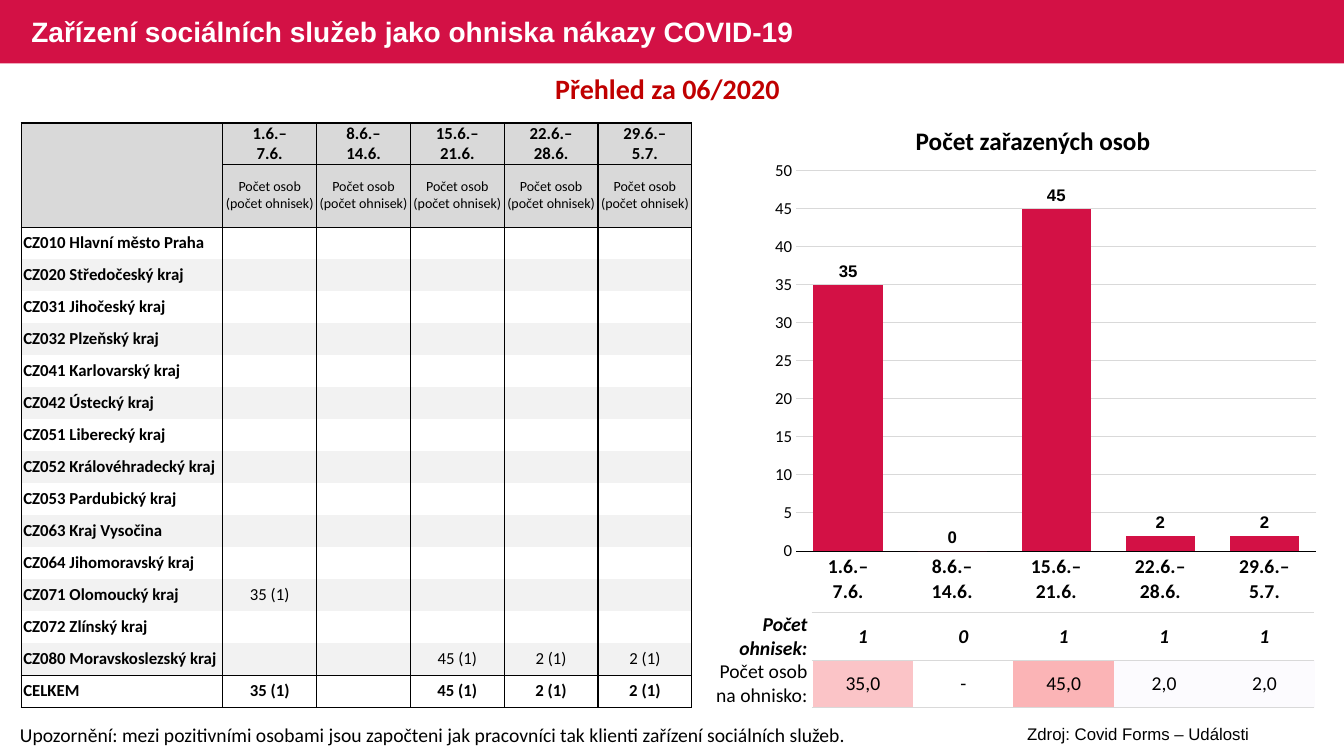
from copy import deepcopy

from lxml import etree
from pptx import Presentation
from pptx import util as u
from pptx.chart import data as chart_data
from pptx.dml.color import RGBColor
from pptx.enum import chart as charts, shapes, text
from pptx.oxml import ns

CRIMSON = RGBColor(0xD3, 0x11, 0x45)
DARK_RED = RGBColor(0xC0, 0x00, 0x00)
BLACK = RGBColor(0x00, 0x00, 0x00)
WHITE = RGBColor(0xFF, 0xFF, 0xFF)
HEADER_GREY = RGBColor(0xD9, 0xD9, 0xD9)
STRIPE_GREY = RGBColor(0xF2, 0xF2, 0xF2)
ROSE = RGBColor(0xFB, 0xC4, 0xC7)
DEEP_ROSE = RGBColor(0xFB, 0xB4, 0xB6)
PALE = RGBColor(0xFC, 0xFB, 0xFE)

LEFT, CENTER, RIGHT = text.PP_ALIGN.LEFT, text.PP_ALIGN.CENTER, text.PP_ALIGN.RIGHT
PLAIN_TABLE = "{2D5ABB26-0587-4C30-8999-92F81FD0307C}"

WEEKS = ["1.6.–\n7.6.", "8.6.–\n14.6.", "15.6.–\n21.6.", "22.6.–\n28.6.", "29.6.–\n5.7."]
PERSONS = [35, 0, 45, 2, 2]
REGIONS = [
    "CZ010 Hlavní město Praha", "CZ020 Středočeský kraj", "CZ031 Jihočeský kraj",
    "CZ032 Plzeňský kraj", "CZ041 Karlovarský kraj", "CZ042 Ústecký kraj",
    "CZ051 Liberecký kraj", "CZ052 Královéhradecký kraj", "CZ053 Pardubický kraj",
    "CZ063 Kraj Vysočina", "CZ064 Jihomoravský kraj", "CZ071 Olomoucký kraj",
    "CZ072 Zlínský kraj", "CZ080 Moravskoslezský kraj", "CELKEM",
]
REGION_COUNTS = {
    "CZ071 Olomoucký kraj": ["35 (1)", "", "", "", ""],
    "CZ080 Moravskoslezský kraj": ["", "", "45 (1)", "2 (1)", "2 (1)"],
    "CELKEM": ["35 (1)", "", "45 (1)", "2 (1)", "2 (1)"],
}
OUTBREAKS = [["1", "0", "1", "1", "1"], ["35,0", "-", "45,0", "2,0", "2,0"]]
OUTBREAK_SHADES = [ROSE, None, DEEP_ROSE, PALE, PALE]
OUTBREAK_LABELS = ["Počet ohnisek:", "Počet osob na ohnisko:"]


def style_font(font, size, color=BLACK, bold=False, italic=False, face="Calibri"):
    font.size, font.name = u.Pt(size), face
    font.bold, font.italic = bold, italic
    font.color.rgb = color


def write(frame, content, align=LEFT, size=12, **font_format):
    """Fill the first paragraph of a frame; a newline becomes a line break."""
    paragraph = frame.paragraphs[0]
    paragraph.alignment = align
    if not content:
        paragraph._p.get_or_add_endParaRPr().set("sz", str(size * 100))
        return paragraph
    paragraph.text = content
    for run in paragraph.runs:
        style_font(run.font, size, **font_format)
    for line_break in paragraph._p.findall(ns.qn("a:br")):
        line_break.append(deepcopy(paragraph.runs[0]._r.rPr))
    return paragraph


class Report:
    """One slide; every length is a percentage of its width or height."""

    def __init__(self):
        self.deck = Presentation()
        self.deck.slide_width, self.deck.slide_height = u.Inches(13.33), u.Inches(7.5)
        self.slide = self.deck.slides.add_slide(self.deck.slide_layouts[5])

    def across(self, share):
        return round(self.deck.slide_width * share / 100)

    def down(self, share):
        return round(self.deck.slide_height * share / 100)

    def box(self, x, y, w, h):
        return self.across(x), self.down(y), self.across(w), self.down(h)

    def band(self, area, color):
        band = self.slide.shapes.add_shape(shapes.MSO_SHAPE.RECTANGLE, *self.box(*area))
        band.shadow.inherit = False
        band.fill.solid()
        band.fill.fore_color.rgb = color
        band.line.fill.background()
        self.slide.shapes._spTree.insert(2, band._element)  # behind the title

    def title(self, area, content, **font_format):
        title = self.slide.shapes.title
        title.left, title.top, title.width, title.height = self.box(*area)
        title.text_frame.auto_size = text.MSO_AUTO_SIZE.NONE
        title.text_frame.vertical_anchor = text.MSO_ANCHOR.MIDDLE
        write(title.text_frame, content, **font_format).line_spacing = 0.9

    def note(self, area, content, **font_format):
        frame = self.slide.shapes.add_textbox(*self.box(*area)).text_frame
        frame.word_wrap = True
        frame.auto_size = text.MSO_AUTO_SIZE.SHAPE_TO_FIT_TEXT
        write(frame, content, **font_format)

    def table(self, area, columns, rows, describe):
        """describe(row, column) gives content, fill, borders and text format."""
        frame = self.slide.shapes.add_table(len(rows), len(columns), *self.box(*area))
        table = frame.table
        table.first_row = table.horz_banding = False
        table._tbl.tblPr.find(ns.qn("a:tableStyleId")).text = PLAIN_TABLE
        for column, share in zip(table.columns, columns):
            column.width = self.across(share)
        for row, share in zip(table.rows, rows):
            row.height = self.down(share)
        for r in range(len(rows)):
            for c in range(len(columns)):
                self.cell(table.cell(r, c), **describe(r, c))

    def cell(self, cell, content="", fill=None, borders=None, margins=(0.75, 0.75),
             **font_format):
        cell.margin_left, cell.margin_right = (u.Pt(m) for m in margins)
        cell.margin_top = cell.margin_bottom = 0
        cell.vertical_anchor = text.MSO_ANCHOR.MIDDLE
        write(cell.text_frame, content, **font_format)
        for side in "LRTB":
            if side in (borders or {}):
                color, width = borders[side]
                line = etree.SubElement(cell._tc.get_or_add_tcPr(), ns.qn(f"a:ln{side}"),
                                        w=str(u.Pt(width)))
                solid = etree.SubElement(line, ns.qn("a:solidFill"))
                etree.SubElement(solid, ns.qn("a:srgbClr"), val=str(color))
        if fill is None:
            cell.fill.background()
        else:
            cell.fill.solid()
            cell.fill.fore_color.rgb = fill

    def column_chart(self, area, categories, values, color, plot_layout):
        data = chart_data.CategoryChartData()
        data.categories = categories
        data.add_series("Počet osob", values)
        chart = self.slide.shapes.add_chart(
            charts.XL_CHART_TYPE.COLUMN_CLUSTERED, *self.box(*area), data).chart
        chart.has_legend = chart.has_title = False
        style_font(chart.font, 14, bold=True, face="Arial")
        plot = chart.plots[0]
        plot.gap_width, plot.vary_by_categories = 50, False
        bars = plot.series[0].format.fill
        bars.solid()
        bars.fore_color.rgb = color
        plot.has_data_labels = True
        plot.data_labels.show_value = True
        plot.data_labels.position = charts.XL_LABEL_POSITION.OUTSIDE_END
        style_font(plot.data_labels.font, 12, bold=True, face="Arial")
        # Axes
        weeks, scale = chart.category_axis, chart.value_axis
        for axis in (weeks, scale):
            axis.major_tick_mark = axis.minor_tick_mark = charts.XL_TICK_MARK.NONE
        style_font(weeks.tick_labels.font, 14, bold=True)
        weeks.format.line.color.rgb, weeks.format.line.width = BLACK, u.Pt(0.75)
        style_font(scale.tick_labels.font, 12)
        scale.format.line.fill.background()
        scale.minimum_scale, scale.maximum_scale, scale.major_unit = 0, 50, 5
        grid = scale.major_gridlines.format.line
        grid.color.rgb, grid.width = HEADER_GREY, u.Pt(0.75)
        # Inner plot area as shares of the chart
        plot_area = chart._chartSpace.chart.plotArea
        for old in plot_area.findall(ns.qn("c:layout")):
            plot_area.remove(old)
        layout = etree.Element(ns.qn("c:layout"))
        manual = etree.SubElement(layout, ns.qn("c:manualLayout"))
        settings = {"layoutTarget": "inner", "xMode": "edge", "yMode": "edge", **plot_layout}
        for tag, value in settings.items():
            etree.SubElement(manual, ns.qn(f"c:{tag}"), val=str(value))
        plot_area.insert(0, layout)


def region_cell(r, c):
    thin, line = (BLACK, 0.5), (BLACK, 1)
    borders = {"L": line, "R": line}
    if r == 0 or (r == 1 and c):
        borders["T"] = line
    if r in (15, 16) or (r == 0 and c):
        borders["B"] = line
    if r == 1:
        borders["B"] = thin
    if r < 2:
        content = "" if c == 0 else (WEEKS[c - 1], "Počet osob (počet ohnisek)")[r]
        return dict(content=content, fill=HEADER_GREY, borders=borders, align=CENTER,
                    size=(12, 10)[r], bold=r == 0)
    region = REGIONS[r - 2]
    style = dict(fill=STRIPE_GREY if r % 2 and r < 16 else None, borders=borders)
    if c == 0:
        return dict(style, content=region, bold=True, margins=(1.5, 1.5))
    counts = REGION_COUNTS.get(region, [""] * len(WEEKS))
    return dict(style, content=counts[c - 1], align=CENTER, bold=region == "CELKEM")


def outbreak_cell(r, c):
    return dict(content=OUTBREAKS[r][c], fill=OUTBREAK_SHADES[c] if r else None,
                align=CENTER, size=14, bold=r == 0, italic=r == 0)


def outbreak_label_cell(r, c):
    if c:
        return dict(borders={side: (HEADER_GREY, 1) for side in "TB"})
    return dict(content=OUTBREAK_LABELS[r], align=RIGHT, size=14, bold=r == 0,
                italic=r == 0, margins=(0.75, 3))


def main():
    report = Report()
    # Heading
    report.band((0, 0, 100, 8.4), CRIMSON)
    report.title((1.58, 0.27, 61, 8.4), "Zařízení sociálních služeb jako ohniska nákazy COVID-19",
                 size=20, color=WHITE, bold=True, face="Arial")
    report.note((1.58, 8.8, 96.17, 5.87), "Přehled za 06/2020", align=CENTER, size=20,
                color=DARK_RED, bold=True)
    # Regions by week
    report.table((1.58, 16.27, 49.9, 77.34), [15] + [6.98] * 5,
                 [5.47, 8.27] + [4.24] * len(REGIONS), region_cell)
    # Persons by week
    report.note((56.71, 15.87, 40.29, 5.33), "Počet zařazených osob", align=CENTER,
                size=18, bold=True)
    report.column_chart((56.71, 20.13, 42.09, 60.67), WEEKS, PERSONS, CRIMSON,
                        {"x": 0.06, "y": 0.04, "w": 0.92, "h": 0.83})
    # Outbreaks by week
    report.table((60.47, 81.07, 37.35, 12.54), [7.47] * 5, [6.27] * 2, outbreak_cell)
    report.table((52.81, 81.07, 44.96, 12.54), [7.58] + [5.34] * 7, [6.27] * 2,
                 outbreak_label_cell)
    # Footnotes
    report.note((0.75, 94.93, 63.92, 4.53), "Upozornění: mezi pozitivními osobami jsou započteni "
                "jak pracovníci tak klienti zařízení sociálních služeb.", size=14)
    report.note((70.14, 95.07, 29.11, 4), "Zdroj: Covid Forms – Události", align=CENTER,
                face="Arial")
    report.deck.save("out.pptx")


if __name__ == "__main__":
    main()
